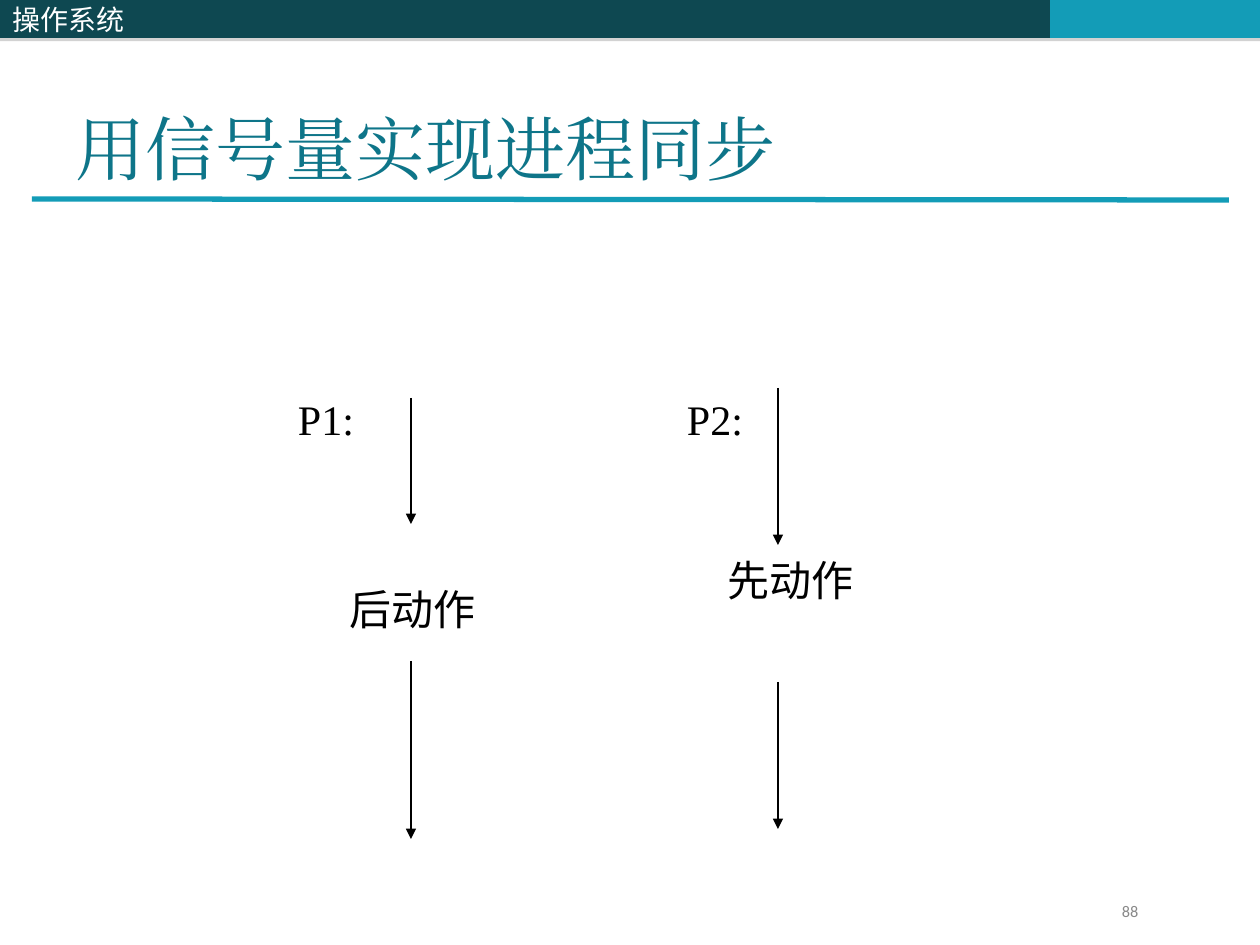
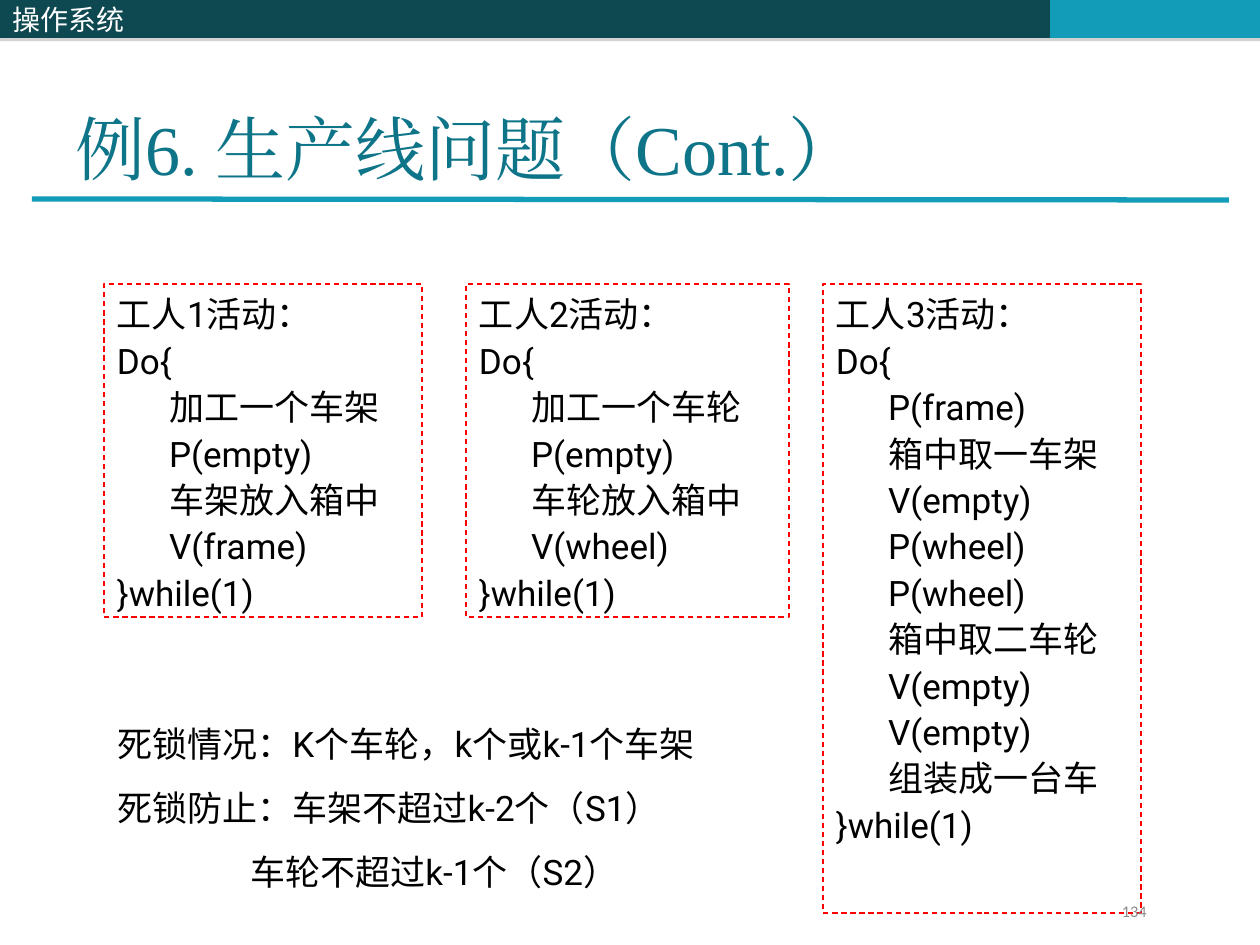
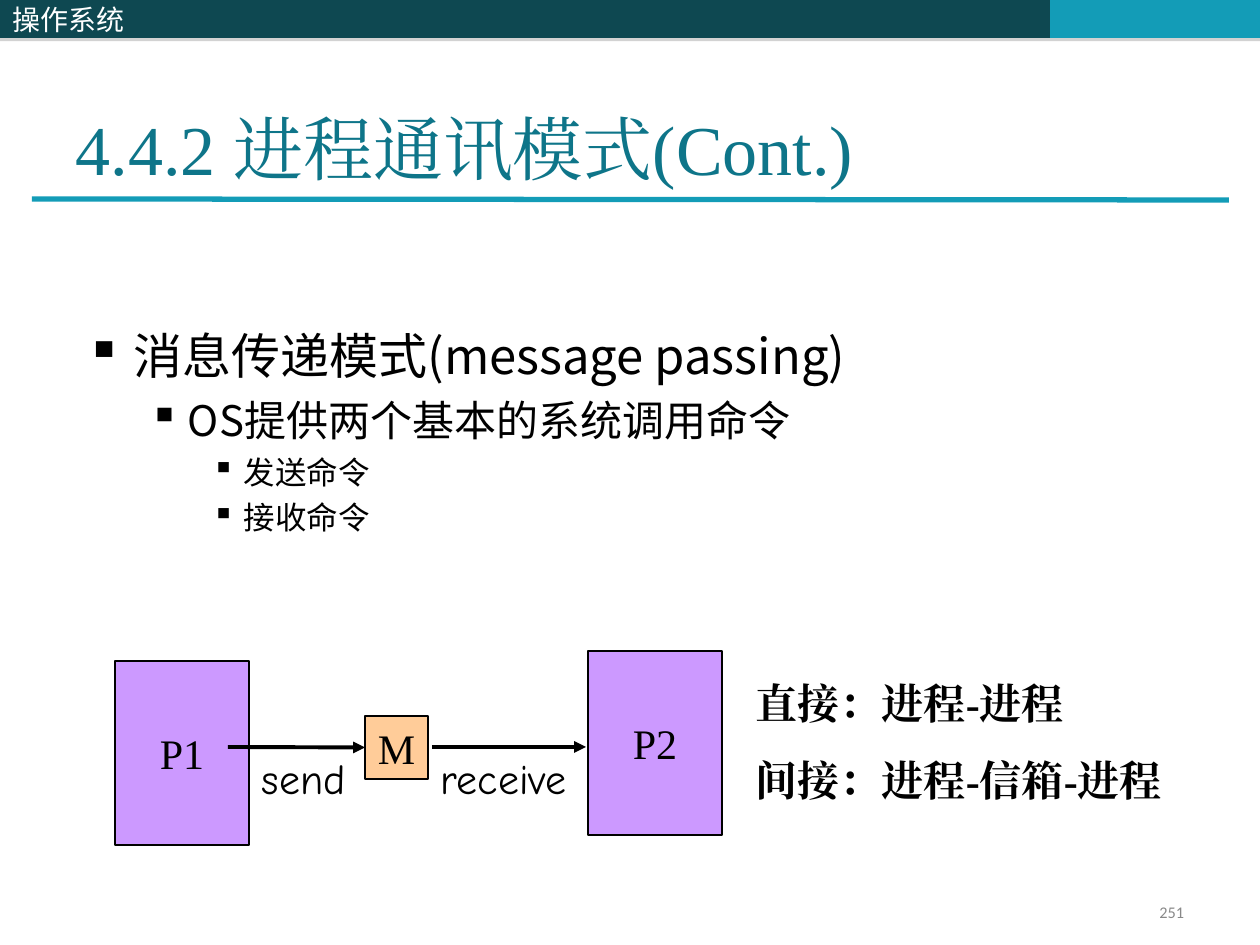
from dataclasses import dataclass

from lxml.etree import SubElement
from pptx import Presentation
from pptx.dml.color import RGBColor
from pptx.enum.dml import MSO_LINE
from pptx.enum.lang import MSO_LANGUAGE_ID
from pptx.enum.shapes import MSO_CONNECTOR, MSO_SHAPE
from pptx.enum.text import MSO_ANCHOR, PP_ALIGN
from pptx.oxml.ns import qn
from pptx.util import Emu, Pt


@dataclass(frozen=True)
class Theme:
    dark: str = "0E4851"
    accent: str = "139CB7"
    title: str = "0E7589"
    white: str = "FFFFFF"
    ink: str = "000000"
    muted: str = "898989"
    frame: str = "FF0000"
    process: str = "CC99FF"
    message: str = "FFCC99"
    shade: str = "808080"
    serif: str = "Times New Roman"
    sans: str = "Roboto"
    hand: str = "Comic Neue"
    cjk: str = "Noto Sans CJK SC"
    numeral: str = "Calibri"
    title_size: float = 40
    header_size: float = 16
    label_size: float = 24
    code_size: float = 20
    number_size: float = 9.3
    bullet_sizes: tuple = (28, 24, 18)


THEME = Theme()
EMU_PER_PX = 914400 / 126
PAGE_WIDTH, PAGE_HEIGHT = 1260, 945
INSET_X, INSET_Y = 13, 6
LOWERED = 9
LINE_PITCH = 1.2
BULLET_PITCH = 1.44

HEADER = "操作系统"
BANDS = [  # left, width, colour
    (514, 536, THEME.dark),
    (1050, 210, THEME.accent),
    (0, 514, THEME.dark),
]

SYNC_TITLE = "用信号量实现进程同步"
SYNC_ARROWS = [  # x, top, bottom
    (411, 398, 524), (411, 661, 839),
    (778, 388, 545), (778, 682, 829),
]
SYNC_LABELS = [  # text, font, left, top, width
    ("后动作", THEME.hand, 337, 578, 158),
    ("先动作", THEME.hand, 715, 549, 158),
    ("P1:", THEME.serif, 285, 388, 95),
    ("P2:", THEME.serif, 674, 388, 95),
]

LINE_TITLE = "例6. 生产线问题（Cont.）"
WORKERS = [  # left, width, height, title, steps
    (104, 318, 333, "工人1活动：",
     ["加工一个车架", "P(empty)", "车架放入箱中", "V(frame)"]),
    (466, 323, 333, "工人2活动：",
     ["加工一个车轮", "P(empty)", "车轮放入箱中", "V(wheel)"]),
    (823, 318, 629, "工人3活动：",
     ["P(frame)", "箱中取一车架", "V(empty)", "P(wheel)", "P(wheel)",
      "箱中取二车轮", "V(empty)", "V(empty)", "组装成一台车"]),
]
WORKER_TOP = 284
DEADLOCK = [  # text, indent
    ("死锁情况：K个车轮，k个或k-1个车架", 0),
    ("死锁防止：车架不超过k-2个（S1）", 0),
    ("车轮不超过k-1个（S2）", 133),
]

MODE_TITLE = "4.4.2 进程通讯模式(Cont.)"
MODE_BULLETS = [  # level, text
    (0, "消息传递模式(message passing)"),
    (1, "OS提供两个基本的系统调用命令"),
    (2, "发送命令"),
    (2, "接收命令"),
]
BULLET_INDENTS = [(48, 48), (102, 39), (158, 32)]  # text start, hanging part
NODES = [  # text, left, top, width, height, fill
    ("P1", 115, 661, 134, 184, THEME.process),
    ("P2", 588, 651, 134, 184, THEME.process),
    ("M", 365, 716, 63, 63, THEME.message),
]
MESSAGE_Y = 747
MESSAGE_LABELS = [("send", 249, 116), ("receive", 428, 179)]
ROUTES = ["直接：进程-进程", "间接：进程-信箱-进程"]


def px(value):
    return Emu(round(value * EMU_PER_PX))


def rgb(value):
    return RGBColor.from_string(value)


def prepare_frame(shape, anchor=MSO_ANCHOR.TOP, inset_top=INSET_Y, wrap=True):
    frame = shape.text_frame
    frame.word_wrap = wrap
    frame.vertical_anchor = anchor
    frame.margin_left = frame.margin_right = px(INSET_X)
    frame.margin_top, frame.margin_bottom = px(inset_top), px(INSET_Y)
    return frame


def add_para(frame, text, font, size, color=THEME.ink, bold=False,
             align=PP_ALIGN.LEFT, before=0, pitch=LINE_PITCH, indent=0, hanging=0):
    """Add one paragraph; a hanging indent also gives it a square bullet."""
    first = frame.paragraphs[0]
    para = frame.add_paragraph() if first.runs else first
    properties = para._p.get_or_add_pPr()
    if indent:
        properties.set("marL", str(px(indent)))
    if hanging:
        properties.set("indent", str(px(-hanging)))
        bullet_color = SubElement(properties, qn("a:buClr"))
        SubElement(bullet_color, qn("a:srgbClr")).set("val", THEME.ink)
        SubElement(properties, qn("a:buChar")).set("char", "▪")
    para.alignment = align
    para.line_spacing = Pt(size * pitch)
    if para._p is not first._p and before:
        para.space_before = Pt(before)
    span = para.add_run()
    span.text = text
    span.font.name, span.font.size = font, Pt(size)
    span.font.bold = bold
    span.font.color.rgb = rgb(color)
    span.font.language_id = MSO_LANGUAGE_ID.SIMPLIFIED_CHINESE
    east_asian = SubElement(span._r.get_or_add_rPr(), qn("a:ea"))
    east_asian.set("typeface", font)
    return para


def add_box(page, left, top, width, height, **frame_options):
    box = page.shapes.add_textbox(px(left), px(top), px(width), px(height))
    return prepare_frame(box, **frame_options)


def add_rectangle(page, left, top, width, height, fill=None, line=None):
    shape = page.shapes.add_shape(
        MSO_SHAPE.RECTANGLE, px(left), px(top), px(width), px(height))
    shape.shadow.inherit = False
    if fill:
        shape.fill.solid()
        shape.fill.fore_color.rgb = rgb(fill)
    else:
        shape.fill.background()
    if line:
        shape.line.color.rgb = rgb(line)
        shape.line.width = Pt(0.75)
    else:
        shape.line.fill.background()
    return shape


def add_line(page, start, end, color=THEME.ink, width=0.75, arrow=True):
    connector = page.shapes.add_connector(
        MSO_CONNECTOR.STRAIGHT, *(px(value) for value in (*start, *end)))
    connector.line.color.rgb = rgb(color)
    connector.line.width = Pt(width)
    properties = connector._element.spPr
    if arrow:
        outline = properties.find(qn("a:ln"))
        SubElement(outline, qn("a:tailEnd")).set("type", "triangle")
    SubElement(properties, qn("a:effectLst"))
    return connector


def add_band_shadow(band):
    effects = band._element.spPr.find(qn("a:effectLst"))
    shadow = SubElement(effects, qn("a:outerShdw"))
    shadow.set("dist", str(Pt(1.8)))
    shadow.set("dir", "5400000")
    color = SubElement(shadow, qn("a:srgbClr"))
    color.set("val", THEME.shade)
    SubElement(color, qn("a:alpha")).set("val", "35000")


def add_page(deck, title):
    page = deck.slides.add_slide(deck.slide_layouts[6])
    for left, width, color in BANDS:
        band = add_rectangle(page, left, 0, width, 38, fill=color)
        add_band_shadow(band)
    header = prepare_frame(band, anchor=MSO_ANCHOR.MIDDLE)
    add_para(header, HEADER, THEME.cjk, THEME.header_size, THEME.white)
    add_line(page, (32, 199), (1229, 200), THEME.accent, 3, arrow=False)
    frame = add_box(page, 63, 38, 1134, 157, anchor=MSO_ANCHOR.BOTTOM)
    add_para(frame, title, THEME.serif, THEME.title_size, THEME.title)
    return page


def add_number(page, number, left=1109, top=895, width=130, align=PP_ALIGN.LEFT):
    frame = add_box(page, left, top, width, 34)
    add_para(frame, number, THEME.numeral, THEME.number_size, THEME.muted, align=align)


def build_synchronization(deck):
    page = add_page(deck, SYNC_TITLE)
    for x, top, bottom in SYNC_ARROWS:
        add_line(page, (x, top), (x, bottom))
    for text, font, left, top, width in SYNC_LABELS:
        add_para(add_box(page, left, top, width, 63), text, font, THEME.label_size)
    add_number(page, "88")


def build_production_line(deck):
    page = add_page(deck, LINE_TITLE)
    for left, width, height, title, steps in WORKERS:
        panel = add_rectangle(page, left, WORKER_TOP, width, height, line=THEME.frame)
        panel.line.dash_style = MSO_LINE.DASH
        frame = prepare_frame(panel, inset_top=LOWERED)
        code = [title, "Do{", *(f"      {step}" for step in steps), "}while(1)"]
        for text in code:
            add_para(frame, text, THEME.sans, THEME.code_size, before=2.5)
    frame = add_box(page, 104, 714, 635, 231, inset_top=LOWERED)
    for text, indent in DEADLOCK:
        add_para(frame, text, THEME.sans, THEME.code_size, before=12.5, indent=indent)
    add_number(page, "134")


def build_message_passing(deck):
    page = add_page(deck, MODE_TITLE)
    frame = add_box(page, 73, 305, 1187, 234, inset_top=LOWERED)
    for level, text in MODE_BULLETS:
        indent, hanging = BULLET_INDENTS[level]
        para = add_para(frame, text, THEME.cjk, THEME.bullet_sizes[level],
                        pitch=BULLET_PITCH, indent=indent, hanging=hanging)
        para.level = level

    nodes = {}
    for text, left, top, width, height, fill in NODES:
        node = add_rectangle(page, left, top, width, height, fill, THEME.ink)
        node_frame = prepare_frame(node, anchor=MSO_ANCHOR.MIDDLE, wrap=False)
        add_para(node_frame, text, THEME.serif, THEME.label_size, align=PP_ALIGN.CENTER)
        nodes[text] = node
    send = add_line(page, (228, MESSAGE_Y), (365, MESSAGE_Y), width=2.25)
    send.end_connect(nodes["M"], 1)
    add_line(page, (432, MESSAGE_Y), (586, MESSAGE_Y), width=2.25)
    for text, left, width in MESSAGE_LABELS:
        label = add_box(page, left, MESSAGE_Y, width, 63)
        add_para(label, text, THEME.hand, THEME.label_size)

    routes = add_box(page, 743, 672, 451, 190)
    for text in ROUTES:
        add_para(routes, text, THEME.serif, THEME.label_size, bold=True, before=15)
    add_number(page, "251", 903, 896, 294, PP_ALIGN.RIGHT)


def main():
    deck = Presentation()
    deck.slide_width, deck.slide_height = px(PAGE_WIDTH), px(PAGE_HEIGHT)
    build_synchronization(deck)
    build_production_line(deck)
    build_message_passing(deck)
    deck.save("out.pptx")


if __name__ == "__main__":
    main()
